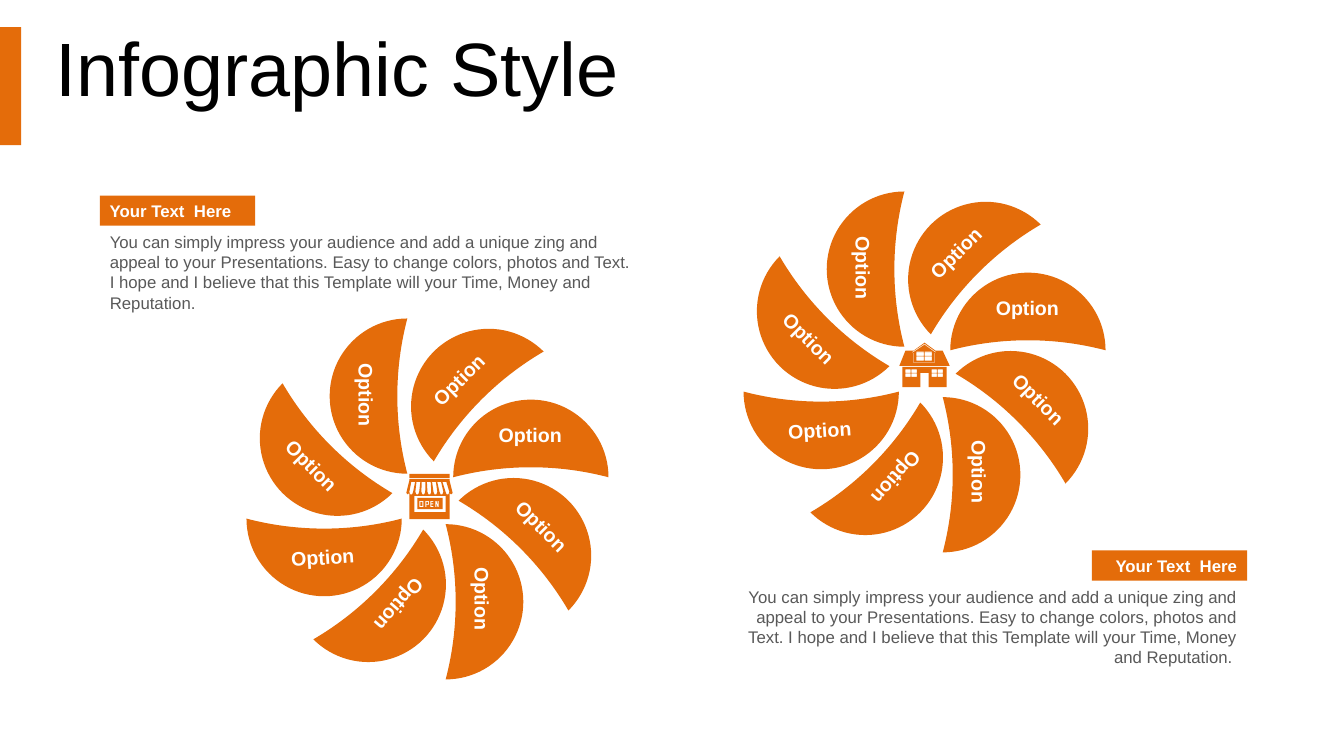
from pptx import Presentation
from pptx import util as u
from pptx.dml import color
from pptx.enum import shapes, text

PETALS = [
    (0, -5.85, -10.1, 90, -6.1, -10.2),
    (45, 3.35, -11.8, 315, 3.1, -11.7),
    (90, 10.25, -5.9, 0, 10.2, -6.2),
    (135, 11.25, 3, 45, 11.3, 2.8),
    (180, 5.65, 10.3, 90, 5.4, 10),
    (225, -3.15, 11.3, 130.9, -2.8, 10.6),
    (270, -10.25, 5.9, 356.3, -10.4, 5.9),
    (315, -11.65, -3.2, 45, -11.5, -3.2),
]
HEADING = "Your Text  Here"
MESSAGE = (
    "You can simply impress your audience and add a unique zing and appeal to your "
    "Presentations. Easy to change colors, photos and Text. I hope and I believe that "
    "this Template will your Time, Money and Reputation."
)


def paint(value):
    return color.RGBColor.from_string(value)


def block(left, top, width, height):
    right, bottom = left + width, top + height
    return [(left, top), (right, top), (right, bottom), (left, bottom)]


def stripe(index):
    top, bottom = 5 + 5.15 * index, 3 + 6 * index
    return [(top, 8), (top + 3.8, 8), (bottom + 3.8, 18), (bottom + 2.8, 20.5),
            (bottom + 1, 20.5), (bottom, 18)]


SHOP = [
    block(3, 0, 40, 4),
    [(3, 5), (43, 5), (43, 7), (46, 19), (44.5, 20.5), (43, 19), (43, 45),
     (3, 45), (3, 19), (1.5, 20.5), (0, 19), (3, 7)],
    *[stripe(index) for index in range(7)],
    block(8, 22, 31, 16),
    block(11, 24, 25, 11),
    block(13, 27, 4, 6),
    block(14, 28, 2, 4),
    [(19, 27), (22.5, 27), (22.5, 31), (20, 31), (20, 33), (19, 33)],
    block(20, 28, 1.5, 2),
    [(24, 27), (27, 27), (27, 28), (25, 28), (25, 29.5), (27, 29.5), (27, 30.5),
     (25, 30.5), (25, 32), (27, 32), (27, 33), (24, 33)],
    [(29, 27), (30, 27), (31, 30), (31, 27), (32, 27), (32, 33), (31, 33),
     (30, 30), (30, 33), (29, 33)],
]
HOUSE = [
    [(6, 8), (14, 8), (25, 0), (36, 8), (43, 8), (50, 23), (0, 23)],
    [(13, 10), (25, 2), (36, 10), (36, 9), (25, 1), (13, 9)],
    block(14, 10, 21, 10),
    block(14.5, 10, 20, 9.5),
    *[block(x, y, 7.3, 4.2) for x in (17, 25) for y in (9, 13.7)],
    [(3, 24), (47, 24), (47, 44), (29, 44), (29, 30), (21, 30), (21, 44), (3, 44)],
    *[block(x, y, 5.3, 3.5) for x in (6, 12, 32, 38) for y in (26.5, 30.5)],
]


class InfographicPage:
    font = "Arial"
    accent = "E46C0A"
    white = "FFFFFF"
    grey = "595959"
    cell = u.Inches(0.1)

    def __init__(self, deck):
        self.page = deck.slides.add_slide(deck.slide_layouts[5])

    def grid(self, *cells):
        return [round(value * self.cell) for value in cells]

    def fill(self, shape):
        shape.shadow.inherit = False
        shape.fill.solid()
        shape.fill.fore_color.rgb = paint(self.accent)
        shape.line.fill.background()

    def set_words(self, box, words, size, tint, align, bold=False):
        frame = box.text_frame
        frame.word_wrap = True
        frame.vertical_anchor = text.MSO_ANCHOR.TOP
        para = frame.paragraphs[0]
        para.text = words
        para.alignment = align
        para.font.name = self.font
        para.font.size = u.Pt(size)
        para.font.bold = bold
        para.font.color.rgb = paint(tint)
        return para

    def title(self, words, *place):
        box = self.page.shapes.title
        box.left, box.top, box.width, box.height = self.grid(*place)
        para = self.set_words(box, words, 54, "000000", text.PP_ALIGN.LEFT)
        para.line_spacing = 0.9
        frame = box.text_frame
        frame.auto_size = text.MSO_AUTO_SIZE.NONE
        frame.vertical_anchor = text.MSO_ANCHOR.MIDDLE
        frame.margin_top = self.cell

    def preset(self, kind, *place):
        shape = self.page.shapes.add_shape(kind, *self.grid(*place))
        self.fill(shape)
        return shape

    def label(self, words, place, size, tint, align, bold=False, turn=0):
        box = self.page.shapes.add_textbox(*self.grid(*place))
        self.set_words(box, words, size, tint, align, bold)
        box.text_frame.auto_size = text.MSO_AUTO_SIZE.SHAPE_TO_FIT_TEXT
        box.rotation = turn

    def note(self, banner_left, text_left, top, width, words, align):
        banner = self.preset(shapes.MSO_SHAPE.RECTANGLE, banner_left, top, 15.4, 3)
        self.set_words(banner, HEADING, 12, self.white, align, True)
        self.label(words, (text_left, top + 3.1, width, 9.1), 12, self.grey, align)

    def wheel(self, x, y):
        for turn, across, down, *_ in PETALS:
            moon = self.preset(shapes.MSO_SHAPE.MOON,
                               x + across - 3.85, y + down - 7.7, 7.7, 15.4)
            moon.adjustments[0] = 0.871
            moon.rotation = turn
        for *_, turn, across, down in PETALS:
            self.label("Option", (x + across - 4.7, y + down - 1.7, 9.4, 3.4), 14,
                       self.white, text.PP_ALIGN.CENTER, True, turn)

    def icon(self, left, top, outlines):
        contours = [[self.grid(left + x / 10, top + y / 10) for x, y in outline]
                    for outline in outlines]
        builder = self.page.shapes.build_freeform(*contours[0][0])
        for index, (start, *others) in enumerate(contours):
            if index:
                builder.move_to(*start)
            builder.add_line_segments(others, close=True)
        self.fill(builder.convert_to_shape())


def main():
    deck = Presentation()
    deck.slide_width, deck.slide_height = u.Inches(13.33), u.Inches(7.5)
    page = InfographicPage(deck)
    page.preset(shapes.MSO_SHAPE.RECTANGLE, 0, 2.7, 2.1, 11.7)
    page.title("Infographic Style", 4.5, 2.9, 125.5, 7.9)
    page.wheel(42.4, 49.4)
    page.wheel(91.7, 36.8)
    page.note(9.9, 9.9, 19.4, 53.8, MESSAGE, text.PP_ALIGN.LEFT)
    page.note(108.3, 70.2, 54.6, 53.5, MESSAGE + " ", text.PP_ALIGN.RIGHT)
    page.icon(40.3, 47, SHOP)
    page.icon(89.2, 34, HOUSE)
    deck.save("out.pptx")


if __name__ == "__main__":
    main()
